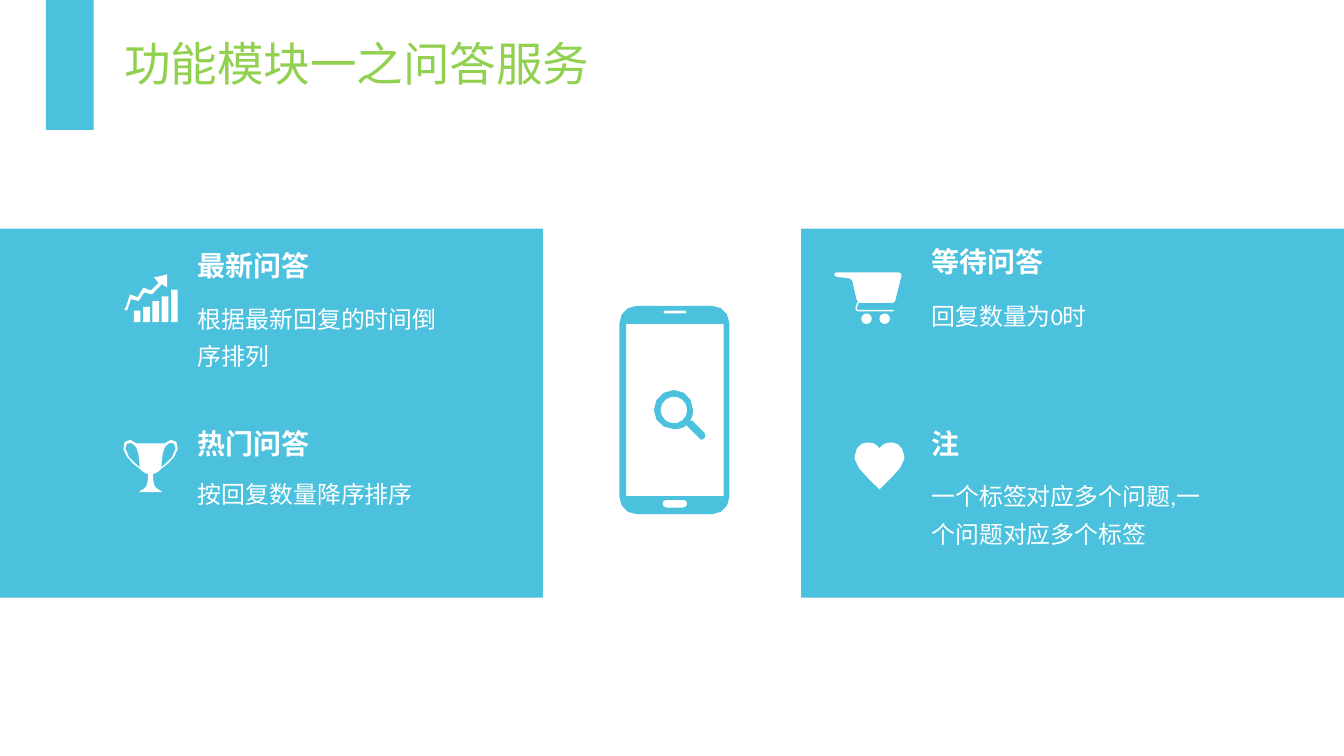
from math import cos, pi, sin

from pptx import Presentation
from pptx.dml.color import RGBColor
from pptx.enum.shapes import MSO_SHAPE
from pptx.enum.text import MSO_ANCHOR
from pptx.util import Inches, Pt

BLUE = RGBColor(0x4B, 0xC1, 0xDD)
GREEN = RGBColor(0x92, 0xD0, 0x50)
WHITE = RGBColor(0xFF, 0xFF, 0xFF)

CELL = Inches(0.1)  # grid cell for the layout
DOT = CELL / 10  # fine grid inside an icon
COLS, ROWS = 140.6, 79.1
PANEL = 56.8

# Icon outlines: a pair is a straight step, six numbers are a Bézier curve.
ARROW = [(21, 19), (29, 21), (38, 12), (39, 10), (45, 14), (45, 0), (38, 2),
         (31, 3), (36, 9), (28, 17), (20, 14), (14, 24), (6, 21), (2, 34),
         (0, 37), (3, 38), (7, 26), (15, 28)]
BAR_TOPS = [38, 34, 28, 23, 16]
CUP = [(14, 4), (8, -3, -2, 0, 0, 10), (3, 19, 10, 26, 18, 31),
       (20, 34, 23, 35, 26, 36), (26, 37, 26, 45, 24, 49),
       (23, 51, 17, 54, 17, 54), (17, 55)]
HANDLE = [(4, 4), (9, 1, 13, 7, 14, 9), (16, 14, 17, 21, 17, 27), (17, 29),
          (2, 19, 0, 6, 4, 4)]
BASKET = [(60, 32), (62, 32, 64, 30, 64, 28), (70, 4), (71, 2, 69, 0, 67, 0),
          (3, 0), (1, 0, -1, 1, 0, 3), (1, 4, 3, 5, 5, 5), (14, 6),
          (16, 6, 19, 8, 19, 10), (23, 28), (24, 30, 26, 32, 28, 32)]
FRAME = [(4, 0), (1, 8), (0, 10, 1, 12, 3, 12), (40, 12)]
HEART = [(26, 49), (13, 36, 1, 26, 0, 17), (0, 14), (1, 5, 7, 0, 12, 0),
         (14, 0), (20, 0, 23, 2, 26, 6)]
LENS = [(21, 0), (9, 0, 0, 10, 0, 21), (0, 32, 9, 41, 21, 41),
        (26, 41, 31, 40, 34, 37), (35, 38), (47, 50),
        (48, 51, 49, 52, 50, 52), (51, 52, 52, 51, 53, 50),
        (54, 49, 54, 47, 53, 45), (40, 32), (38, 32),
        (40, 29, 41, 25, 41, 21), (41, 10, 33, 0, 21, 0)]

# Left, top of heading, top of body, width, heading, body
NOTES = [
    (19.7, 24.35, 30.45, 29.4, "最新问答", "根据最新回复的时间倒序排列"),
    (19.7, 43, 48.75, 31.6, "热门问答", "按回复数量降序排序"),
    (96.45, 23.95, 30.15, 32, "等待问答", "回复数量为0时"),
    (96.45, 43, 49.03, 32, "注", "一个标签对应多个问题,一个问题对应多个标签"),
]


def cells(*sizes):
    return [round(size * CELL) for size in sizes]


def trace(steps, parts=3):
    """Turn straight steps and curves into a list of points."""
    points = []
    for step in steps:
        if len(step) == 2:
            points.append(step)
            continue
        ends = [points[-1], step[:2], step[2:4], step[4:]]
        for i in range(1, parts + 1):
            t = i / parts
            loads = [(1 - t) ** 3, 3 * t * (1 - t) ** 2,
                     3 * t * t * (1 - t), t ** 3]
            points.append(tuple(sum(w * end[axis] for w, end in zip(loads, ends))
                                for axis in (0, 1)))
    return points


def flip(points, mid):
    """Mirror points about the upright line at mid."""
    return [(2 * mid - x, y) for x, y in reversed(points)]


def box(x, y, wide, high):
    return [(x, y), (x + wide, y), (x + wide, y + high), (x, y + high)]


def pill(x, y, wide, high, bend, parts=2):
    """Outline of a box whose corners have the radius bend."""
    hubs = box(x + bend, y + bend, wide - 2 * bend, high - 2 * bend)
    return [(hx + bend * cos(a), hy + bend * sin(a))
            for turn, (hx, hy) in enumerate(hubs)
            for a in [pi + (turn + i / parts) * pi / 2 for i in range(parts + 1)]]


def disc(x, y, size, count=14):
    half = size / 2
    turns = [2 * pi * i / count for i in range(count)]
    return [(x + half + half * cos(a), y + half + half * sin(a)) for a in turns]


def paint(shape, fill):
    shape.shadow.inherit = False
    shape.fill.solid()
    shape.fill.fore_color.rgb = fill
    shape.line.fill.background()


def add_shape(slide, kind, spot, fill):
    paint(slide.shapes.add_shape(kind, *cells(*spot)), fill)


def add_icon(slide, left, top, loops, fill=None):
    """Draw loops as one shape; without a fill, as an open white line."""
    loops = [[(x * DOT, y * DOT) for x, y in loop] for loop in loops]
    pen = slide.shapes.build_freeform(*loops[0][0], scale=1.0)
    for index, loop in enumerate(loops):
        if index:
            pen.move_to(*loop[0])
        pen.add_line_segments(loop[1:], close=fill is not None)
    shape = pen.convert_to_shape(*cells(left, top))
    if fill is not None:
        paint(shape, fill)
        return
    shape.shadow.inherit = False
    shape.fill.background()
    shape.line.color.rgb = WHITE
    shape.line.width = Pt(1)


def add_text(slide, spot, text, size, color=WHITE, font="Calibri",
             bold=False, anchor=MSO_ANCHOR.TOP, space=1.3):
    frame = slide.shapes.add_textbox(*cells(*spot)).text_frame
    frame.word_wrap = True
    frame.vertical_anchor = anchor
    para = frame.paragraphs[0]
    para.line_spacing = space
    run = para.add_run()
    run.text = text
    run.font.size = Pt(size)
    run.font.name = font
    run.font.bold = bold
    run.font.color.rgb = color


def add_icons(slide):
    bars = [box(10 + 9.75 * i, top, 7, 50 - top) for i, top in enumerate(BAR_TOPS)]
    add_icon(slide, 13, 28.7, [ARROW, *bars], WHITE)

    cup, grip = trace(CUP), trace(HANDLE)
    add_icon(slide, 12.9, 46,
             [cup + flip(cup, 28.5), grip, flip(grip, 28.5)], WHITE)

    add_icon(slide, 87.3, 28.5, [trace(BASKET)], WHITE)
    for left in (90.1, 92):
        add_shape(slide, MSO_SHAPE.OVAL, (left, 32.8, 1.1, 1.1), WHITE)
    add_icon(slide, 89.5, 31.3, [trace(FRAME)])

    heart = trace(HEART)
    add_icon(slide, 89.4, 46.3, [heart + flip(heart[1:-1], 26)], WHITE)

    add_icon(slide, 68.4, 40.8, [trace(LENS), disc(7, 7, 28)], BLUE)
    phone = [pill(0, 0, 115, 218, 18, 3), pill(46, 5, 24, 3, 1.5),
             pill(45, 203, 26, 8, 4), box(7, 19, 102, 180)]
    add_icon(slide, 64.8, 32, phone, BLUE)


def add_note(slide, left, top, below, wide, head, body):
    add_text(slide, (left, top, 22, 5.8), head, 21.1, bold=True,
             anchor=MSO_ANCHOR.MIDDLE)
    add_text(slide, (left, below, wide, 13), body, 18)


def main():
    deck = Presentation()
    deck.slide_width, deck.slide_height = cells(COLS, ROWS)
    slide = deck.slides.add_slide(deck.slide_layouts[6])
    for left in (0, COLS - PANEL):
        add_shape(slide, MSO_SHAPE.RECTANGLE, (left, 23.93, PANEL, 38.6), BLUE)
    add_icons(slide)
    for note in NOTES:
        add_note(slide, *note)
    add_shape(slide, MSO_SHAPE.RECTANGLE, (4.8, 0, 5, 13.6), BLUE)
    add_text(slide, (12, 3.55, 70.8, 6.5), "功能模块一之问答服务", 35.1, GREEN,
             "Noto Sans CJK SC", anchor=MSO_ANCHOR.BOTTOM, space=0.9)
    deck.save("out.pptx")


if __name__ == "__main__":
    main()
